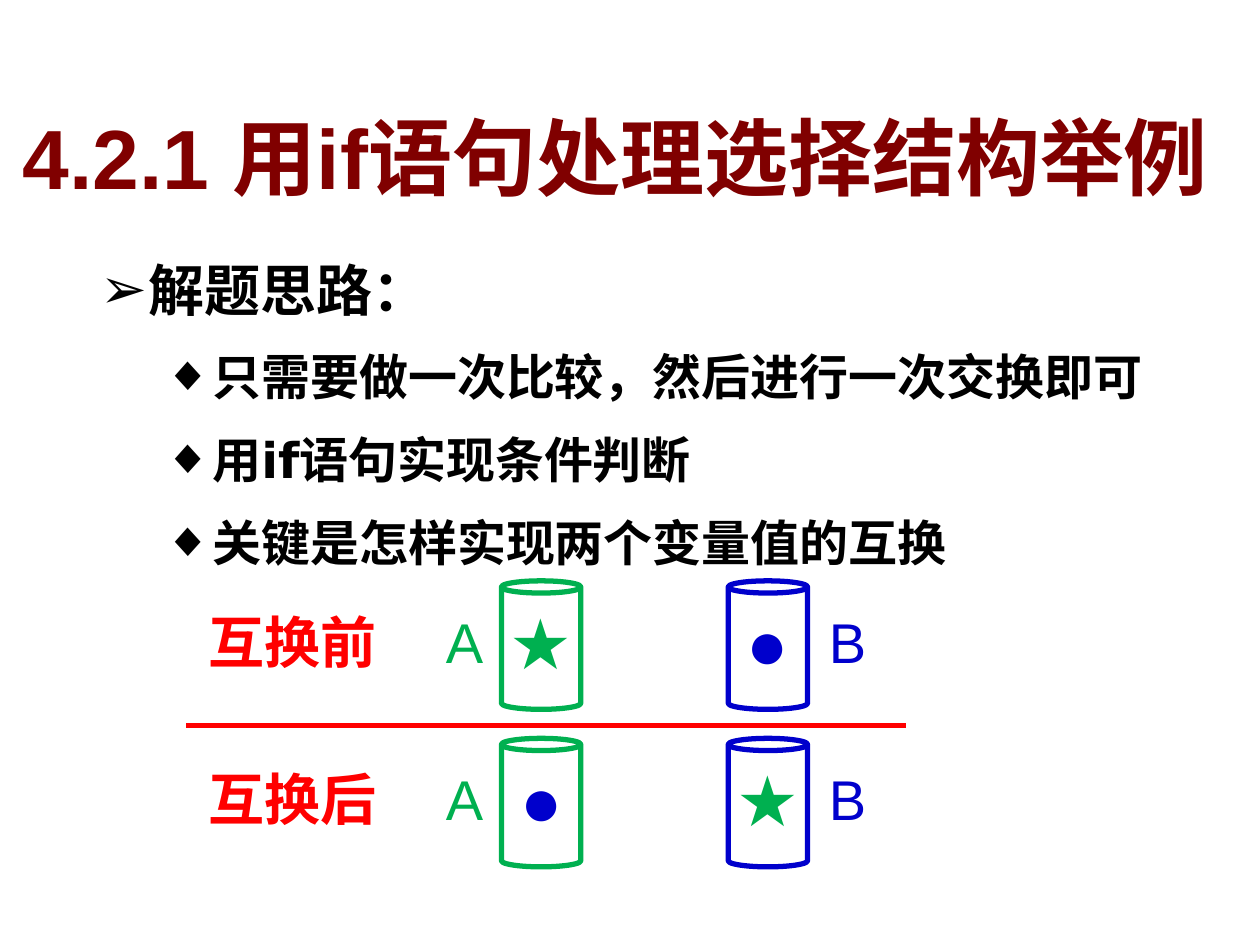
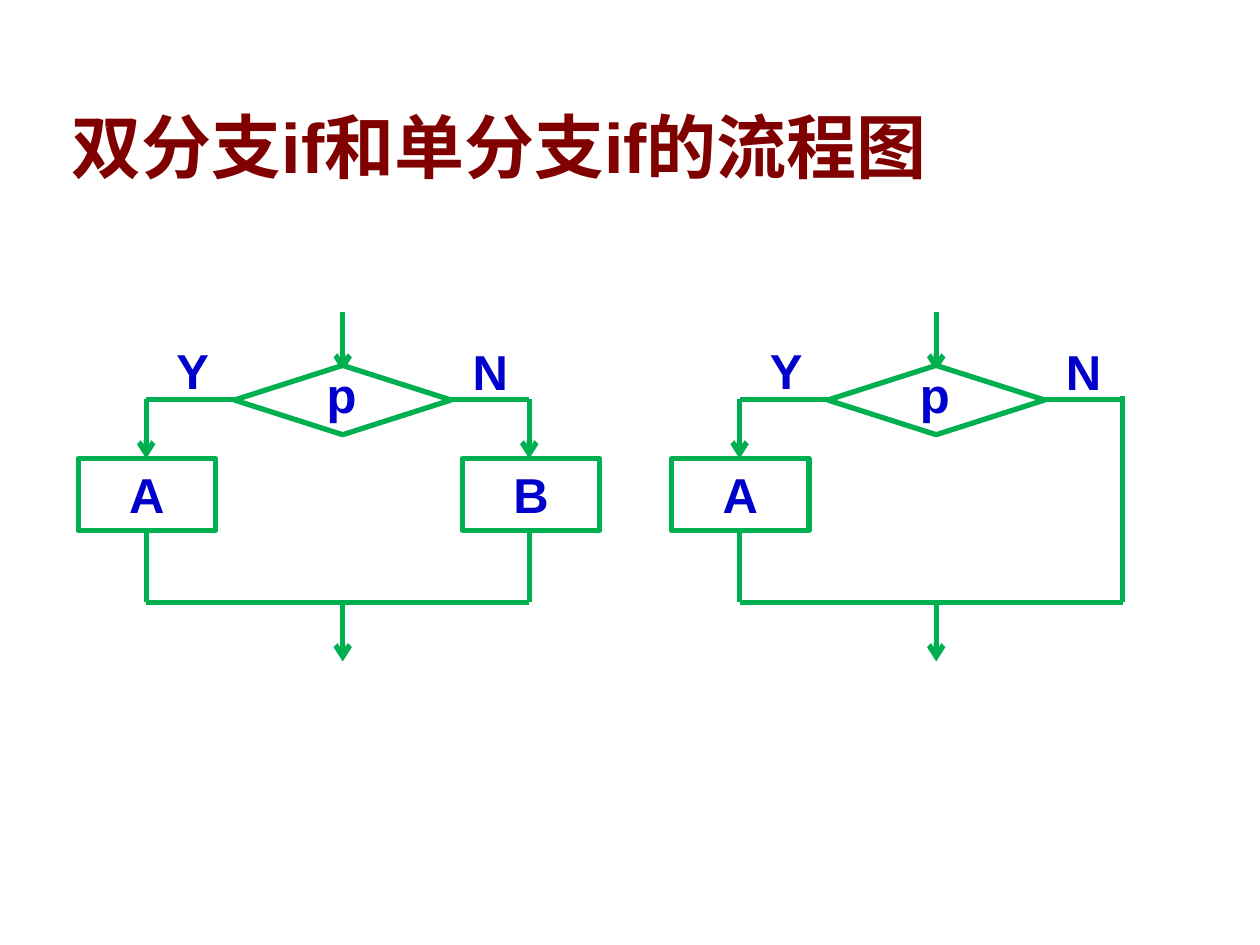
from lxml.etree import SubElement
from pptx import Presentation
from pptx.dml.color import RGBColor
from pptx.enum.shapes import MSO_CONNECTOR, MSO_SHAPE
from pptx.enum.text import MSO_ANCHOR, MSO_AUTO_SIZE, PP_ALIGN
from pptx.oxml import parse_xml
from pptx.oxml.ns import nsdecls, qn
from pptx.util import Pt

PX = 9144
HUES = {"white": "FFFFFF", "black": "000000", "green": "00B050",
        "blue": "0000CC", "red": "FF0000", "maroon": "800000"}
SHADE = (f'<a:effectLst {nsdecls("a")}><a:outerShdw dist="28000" dir="2700000">'
         '<a:srgbClr val="C0C0C0"/></a:outerShdw></a:effectLst>')


def hue(name):
    return RGBColor.from_string(HUES[name])


def scale(*sides):
    return [side * PX for side in sides]


def write(para, text, size, color, bold=False, face="Arial"):
    run = para.add_run()
    run.text = text
    font = run.font
    font.size, font.bold, font.name = Pt(size), bold, face
    font.color.rgb = hue(color)
    return run


def place(holder, box):
    holder.left, holder.top, holder.width, holder.height = scale(*box)
    frame = holder.text_frame
    frame.word_wrap = True
    frame.auto_size = MSO_AUTO_SIZE.NONE
    return frame


def title(slide, box, text, size):
    frame = place(slide.shapes.title, box)
    frame.vertical_anchor = MSO_ANCHOR.MIDDLE
    para = frame.paragraphs[0]
    para.alignment = PP_ALIGN.LEFT
    run = write(para, text, size, "maroon", True)
    fill = run.font._element.find(qn("a:solidFill"))
    fill.addnext(parse_xml(SHADE))


def bullet(para, mark, left, hang):
    props = para._p.get_or_add_pPr()
    props.set("marL", str(left * PX))
    props.set("indent", str(-hang * PX))
    tint = SubElement(props, qn("a:buClr"))
    SubElement(tint, qn("a:srgbClr")).set("val", HUES["black"])
    SubElement(props, qn("a:buFont")).set("typeface", "Arial")
    SubElement(props, qn("a:buChar")).set("char", mark)


def outline(slide, box, lines):
    frame = place(slide.placeholders[1], box)
    for i, text in enumerate(lines):
        para = frame.add_paragraph() if i else frame.paragraphs[0]
        para.level = 1 if i else 0
        bullet(para, *(("◆", 81, 31) if i else ("➢", 38, 38)))
        para.line_spacing = 1.2
        para.space_before = Pt(7 if i else 0)
        write(para, text, 28 if i else 32, "black", True, "DejaVu Sans")


def label(slide, box, text, size, color, bold=False, align=PP_ALIGN.LEFT):
    frame = slide.shapes.add_textbox(*scale(*box)).text_frame
    frame.word_wrap = True
    para = frame.paragraphs[0]
    para.alignment = align
    write(para, text, size, color, bold)


def shape(slide, kind, box, color, fill=None):
    item = slide.shapes.add_shape(kind, *scale(*box))
    item.shadow.inherit = False
    if fill:
        item.fill.solid()
        item.fill.fore_color.rgb = hue(fill)
    else:
        item.fill.background()
    item.line.color.rgb = hue(color)
    item.line.width = Pt(3)
    item.text_frame.vertical_anchor = MSO_ANCHOR.TOP
    return item


def line(slide, start, end, color="green", arrow=False):
    item = slide.shapes.add_connector(MSO_CONNECTOR.STRAIGHT, *scale(*start, *end))
    item.line.color.rgb = hue(color)
    item.line.width = Pt(3)
    if arrow:
        SubElement(item.line._get_or_add_ln(), qn("a:tailEnd")).set("type", "arrow")
    SubElement(item._element.spPr, qn("a:effectLst"))


def cup(slide, box, color, mark, tint):
    can = shape(slide, MSO_SHAPE.CAN, box, color, "white")
    can.adjustments[0] = 0.154
    frame = can.text_frame
    frame.word_wrap = False
    para = frame.paragraphs[0]
    para.alignment = PP_ALIGN.CENTER
    write(para, mark, 40, tint)


def state(slide, left, top, name, marks):
    label(slide, (left, top + 16, 156, 64), name, 32, "red", True)
    sides = (("A", "green", 188, 242), ("B", "blue", 492, 422))
    for (text, color, tag, can), (mark, tint) in zip(sides, marks):
        label(slide, (left + tag, top + 16, 47, 64), text, 32, color)
        cup(slide, (left + can, top, 63, 102), color, mark, tint)


def step(slide, left, top, text):
    item = shape(slide, MSO_SHAPE.RECTANGLE, (left, top, 109, 57), "green")
    para = item.text_frame.paragraphs[0]
    para.alignment = PP_ALIGN.CENTER
    write(para, text, 28, "blue", True)


def flow(slide, left, top, other=None):
    west, mid, east = left + 54, left + 210, left + 358
    fork, base = top + 69, top + 230
    box, foot = top + 116, top + 174
    for y in (top, base):
        line(slide, (mid, y), (mid, y + 47), arrow=True)
    line(slide, (left + 124, fork), (west, fork))
    line(slide, (left + 295, fork), (east, fork))
    shape(slide, MSO_SHAPE.FLOWCHART_DECISION,
          (left + 124, top + 42, 172, 55), "green", "white")
    tags = (("Y", 52, 17, 78), ("N", 288, 18, 78), ("p", 178, 36, 62))
    for text, x, y, width in tags:
        label(slide, (left + x, top + y, width, 57), text, 28, "blue", True,
              PP_ALIGN.CENTER)
    steps = [(west, left, "A")]
    if other:
        steps.append((east, left + 305, other))
    else:
        line(slide, (east, base), (east, fork - 3))
    for x, edge, text in steps:
        line(slide, (x, fork), (x, box), arrow=True)
        step(slide, edge, box, text)
        line(slide, (x, base), (x, foot))
    line(slide, (east, base), (west, base))


def swap(deck):
    slide = deck.slides.add_slide(deck.slide_layouts[1])
    title(slide, (8, 39, 984, 170), "4.2.1 用if语句处理选择结构举例", 48)
    outline(slide, (70, 187, 852, 281),
            ["解题思路：", "只需要做一次比较，然后进行一次交换即可",
             "用if语句实现条件判断", "关键是怎样实现两个变量值的互换"])
    marks = [("★", "green"), ("●", "blue")]
    state(slide, 156, 461, "互换前", marks)
    state(slide, 156, 586, "互换后", marks[::-1])
    line(slide, (148, 576), (719, 576), "red")


def branch(deck):
    slide = deck.slides.add_slide(deck.slide_layouts[5])
    title(slide, (47, 77, 914, 77), "双分支if和单分支if的流程图", 40)
    flow(slide, 62, 248, "B")
    flow(slide, 533, 248)


def main():
    deck = Presentation()
    deck.slide_width, deck.slide_height = scale(1000, 750)
    swap(deck)
    branch(deck)
    deck.save("out.pptx")


if __name__ == "__main__":
    main()
